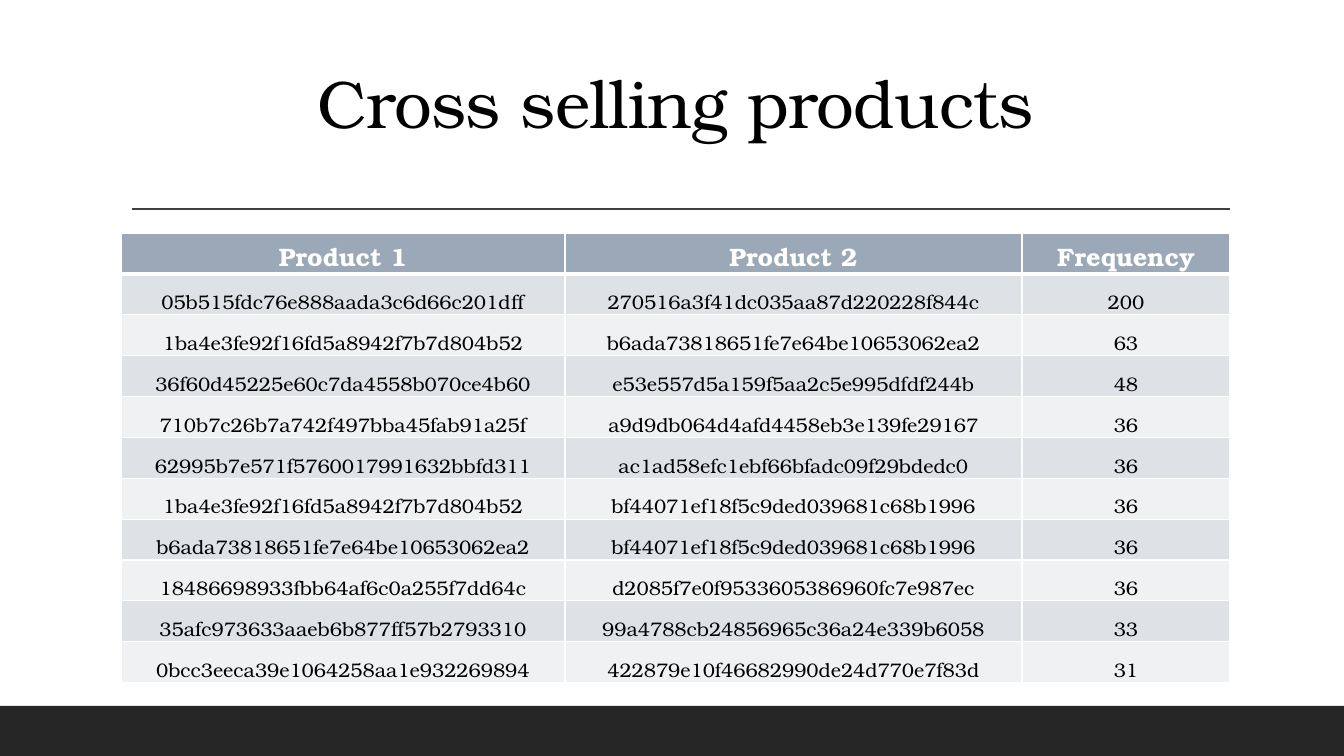
import dataclasses
import typing

import lxml.etree
import pptx
import pptx.dml.color
import pptx.enum.shapes
import pptx.enum.text
import pptx.oxml.ns
import pptx.util

RGBColor = pptx.dml.color.RGBColor
WHITE = RGBColor(0xFF, 0xFF, 0xFF)
BLACK = RGBColor(0x00, 0x00, 0x00)
BAR = RGBColor(0x26, 0x26, 0x26)
RULE = RGBColor(0x40, 0x40, 0x40)
HEAD = RGBColor(0x9B, 0xA8, 0xB7)
BANDS = (RGBColor(0xDE, 0xE1, 0xE6), RGBColor(0xEF, 0xF1, 0xF3))

SCALE = 914400 / 100.8  # EMU in one px
FONT = "TeX Gyre Bonum"
WIDE, HIGH = 1344, 756
LEFT = 121
COLS = (444, 457, 208)
DEEP = 450  # table height
CENTER = pptx.enum.text.PP_ALIGN.CENTER
BOTTOM = pptx.enum.text.MSO_ANCHOR.BOTTOM


@dataclasses.dataclass(frozen=True)
class Style:
    size: int
    color: RGBColor
    bold: bool = False


@dataclasses.dataclass(frozen=True)
class Pair:
    first: str
    second: str
    count: str


TITLE = Style(48, BLACK)
LABEL = Style(18, WHITE, True)
BODY = Style(14, BLACK)

PAIRS = (
    Pair("Product 1", "Product 2", "Frequency"),
    Pair("05b515fdc76e888aada3c6d66c201dff", "270516a3f41dc035aa87d220228f844c", "200"),
    Pair("1ba4e3fe92f16fd5a8942f7b7d804b52", "b6ada73818651fe7e64be10653062ea2", "63"),
    Pair("36f60d45225e60c7da4558b070ce4b60", "e53e557d5a159f5aa2c5e995dfdf244b", "48"),
    Pair("710b7c26b7a742f497bba45fab91a25f", "a9d9db064d4afd4458eb3e139fe29167", "36"),
    Pair("62995b7e571f5760017991632bbfd311", "ac1ad58efc1ebf66bfadc09f29bdedc0", "36"),
    Pair("1ba4e3fe92f16fd5a8942f7b7d804b52", "bf44071ef18f5c9ded039681c68b1996", "36"),
    Pair("b6ada73818651fe7e64be10653062ea2", "bf44071ef18f5c9ded039681c68b1996", "36"),
    Pair("18486698933fbb64af6c0a255f7dd64c", "d2085f7e0f9533605386960fc7e987ec", "36"),
    Pair("35afc973633aaeb6b877ff57b2793310", "99a4788cb24856965c36a24e339b6058", "33"),
    Pair("0bcc3eeca39e1064258aa1e932269894", "422879e10f46682990de24d770e7f83d", "31"),
)


def px(num: int) -> int:
    return round(num * SCALE)


def apply(item: typing.Any, values: dict[str, typing.Any]) -> None:
    for name, value in values.items():
        setattr(item, name, value)


def write(frame: typing.Any, text: str, style: Style) -> typing.Any:
    """Put one centred run in a frame and return the run."""
    para = frame.paragraphs[0]
    para.alignment = CENTER
    run = para.add_run()
    run.text = text
    apply(run.font, {"name": FONT, "size": pptx.util.Pt(style.size), "bold": style.bold})
    run.font.color.rgb = style.color
    return run


def edge(cell: typing.Any, side: str, points: int) -> None:
    """Draw one white cell border."""
    props = cell._tc.get_or_add_tcPr()
    line = lxml.etree.SubElement(props, pptx.oxml.ns.qn(f"a:ln{side}"), w=str(pptx.util.Pt(points)))
    fill = lxml.etree.SubElement(line, pptx.oxml.ns.qn("a:solidFill"))
    lxml.etree.SubElement(fill, pptx.oxml.ns.qn("a:srgbClr"), val=str(WHITE))


def draw_base(slide: typing.Any) -> None:
    # Bottom bar
    bar = slide.shapes.add_shape(
        pptx.enum.shapes.MSO_SHAPE.RECTANGLE, 0, px(706), px(WIDE), px(50)
    )
    bar.shadow.inherit = False
    bar.fill.solid()
    bar.fill.fore_color.rgb = BAR
    bar.line.fill.background()

    # Rule under the title
    rule = slide.shapes.add_connector(
        pptx.enum.shapes.MSO_CONNECTOR.STRAIGHT, px(132), px(209), px(1230), px(209)
    )
    rule.line.color.rgb = RULE
    rule.line.width = pptx.util.Pt(1)
    lxml.etree.SubElement(rule._element.spPr, pptx.oxml.ns.qn("a:effectLst"))


def draw_title(slide: typing.Any) -> None:
    frame = slide.shapes.add_textbox(px(LEFT), px(44), px(sum(COLS)), px(104)).text_frame
    apply(frame, {"word_wrap": True, "vertical_anchor": BOTTOM})
    run = write(frame, "Cross selling products", TITLE)
    frame.paragraphs[0].line_spacing = 0.9
    run._r.get_or_add_rPr().set("spc", "-50")


def draw_table(slide: typing.Any) -> None:
    table = slide.shapes.add_table(
        len(PAIRS), len(COLS), px(LEFT), px(233), px(sum(COLS)), px(DEEP)
    ).table
    for col, width in zip(table.columns, COLS):
        col.width = px(width)
    for r, pair in enumerate(PAIRS):
        table.rows[r].height = px(DEEP) // len(PAIRS)
        style, color = (BODY, BANDS[(r - 1) % 2]) if r else (LABEL, HEAD)
        # The border below the header is thicker
        edges = {"L": 1, "R": 1, "T": 3 if r == 1 else 1, "B": 1 if r else 3}
        for c, text in enumerate(dataclasses.astuple(pair)):
            cell = table.cell(r, c)
            apply(cell, {
                "margin_left": px(1), "margin_right": px(1), "margin_top": px(1),
                "margin_bottom": 0, "vertical_anchor": BOTTOM,
            })
            for side, points in edges.items():
                edge(cell, side, points)
            cell.fill.solid()
            cell.fill.fore_color.rgb = color
            write(cell.text_frame, text, style)


def main() -> None:
    deck = pptx.Presentation()
    apply(deck, {"slide_width": px(WIDE), "slide_height": px(HIGH)})
    slide = deck.slides.add_slide(deck.slide_layouts[6])
    draw_base(slide)
    draw_title(slide)
    draw_table(slide)
    deck.save("out.pptx")


if __name__ == "__main__":
    main()
